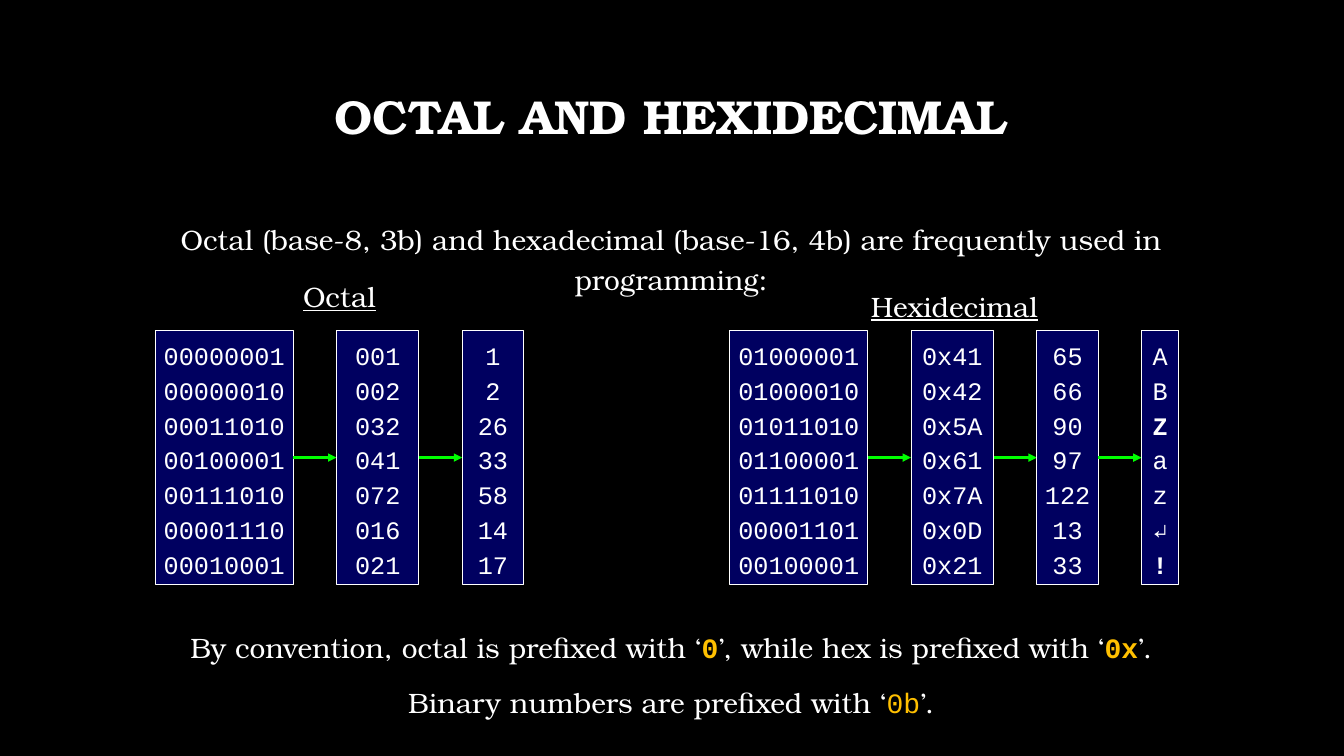
"""Build a slide that compares octal and hexadecimal notation."""
from lxml.etree import SubElement
from pptx import Presentation
from pptx.dml.color import RGBColor
from pptx.enum.shapes import MSO_CONNECTOR, MSO_SHAPE
from pptx.enum.text import MSO_ANCHOR, PP_ALIGN
from pptx.oxml.ns import qn
from pptx.util import Cm, Pt

BLACK = RGBColor(0x00, 0x00, 0x00)
WHITE = RGBColor(0xFF, 0xFF, 0xFF)
NAVY = RGBColor(0x00, 0x00, 0x60)
GREEN = RGBColor(0x00, 0xFF, 0x00)
AMBER = RGBColor(0xFF, 0xC0, 0x00)
SERIF = "TeX Gyre Bonum"
MONO = "Courier New"

MARGIN, CONTENT_WIDTH = Cm(2.54), Cm(28.75)
COLUMN_TOP, COLUMN_HEIGHT = Cm(8.33), Cm(6.4)
COLUMN_GAP = Cm(1.09)
COLUMN_WIDTHS = [Cm(3.48), Cm(2.08), Cm(1.55), Cm(0.94)]
BOLD_CHARACTERS = ("Z", "↵", "!")

OCTAL = [
    ["00000001", "00000010", "00011010", "00100001", "00111010", "00001110", "00010001"],
    ["001", "002", "032", "041", "072", "016", "021"],
    ["1", "2", "26", "33", "58", "14", "17"],
]
HEXADECIMAL = [
    ["01000001", "01000010", "01011010", "01100001", "01111010", "00001101", "00100001"],
    ["0x41", "0x42", "0x5A", "0x61", "0x7A", "0x0D", "0x21"],
    ["65", "66", "90", "97", "122", "13", "33"],
    ["A", "B", "Z", "a", "z", "↵", "!"],
]


def add_span(para, text, size=20, font=SERIF, color=WHITE, bold=False, underline=False):
    """Append one formatted run to a paragraph."""
    span = para.add_run()
    span.text = text
    span.font.name = font
    span.font.size = Pt(size)
    span.font.color.rgb = color
    span.font.bold = bold
    span.font.underline = underline


def add_para(frame, index, line_spacing, space_before=0):
    """Return a centred paragraph, reusing the first one of the frame."""
    para = frame.add_paragraph() if index else frame.paragraphs[0]
    para.alignment = PP_ALIGN.CENTER
    para.line_spacing = line_spacing
    para.space_before = Pt(space_before)
    return para


def add_frame(page, left, top, width, height):
    """Add a wrapping text box and return its text frame."""
    frame = page.shapes.add_textbox(left, top, width, height).text_frame
    frame.word_wrap = True
    return frame


def add_title(page, left, top, width, height):
    """Place the slide title in the middle of its box."""
    frame = add_frame(page, left, top, width, height)
    frame.vertical_anchor = MSO_ANCHOR.MIDDLE
    add_span(add_para(frame, 0, 0.9), "OCTAL AND HEXIDECIMAL", size=34, bold=True)


def add_statement(page, left, top, width, height, text, underline=False):
    """Place a single centred line of body text."""
    frame = add_frame(page, left, top, width, height)
    add_span(add_para(frame, 0, 1.2, 10), text, underline=underline)


def add_column(page, left, top, width, height, values):
    """Place a box that lists one value per line."""
    box = page.shapes.add_shape(MSO_SHAPE.RECTANGLE, left, top, width, height)
    box.shadow.inherit = False
    box.fill.solid()
    box.fill.fore_color.rgb = NAVY
    box.line.color.rgb = WHITE
    box.line.width = Pt(0.75)
    frame = box.text_frame
    frame.word_wrap = False
    frame.vertical_anchor = MSO_ANCHOR.MIDDLE
    frame.margin_left = frame.margin_right = Cm(0.2)
    frame.margin_top = frame.margin_bottom = 0
    for index, value in enumerate(values):
        para = add_para(frame, index, 1.15)
        add_span(para, value, size=18, font=MONO, bold=value in BOLD_CHARACTERS)


def add_arrow(page, left, middle, width):
    """Place a horizontal arrow that points right."""
    arrow = page.shapes.add_connector(
        MSO_CONNECTOR.STRAIGHT, left, middle, left + width, middle)
    arrow.line.color.rgb = GREEN
    arrow.line.width = Pt(2)
    SubElement(arrow.line._get_or_add_ln(), qn("a:tailEnd"), type="triangle")
    SubElement(arrow._element.spPr, qn("a:effectLst"))


def add_conversion(page, left, top, height, heading, heading_top, columns):
    """Place a heading above value columns joined by arrows."""
    widths = COLUMN_WIDTHS[:len(columns)]
    total = sum(widths) + COLUMN_GAP * (len(columns) - 1)
    add_statement(page, left, heading_top, total, Cm(1.32), heading, underline=True)
    column_left = left
    for index, (width, values) in enumerate(zip(widths, columns)):
        if index:
            add_arrow(page, column_left - COLUMN_GAP, top + height // 2, COLUMN_GAP)
        add_column(page, column_left, top, width, height, values)
        column_left += width + COLUMN_GAP


def add_conventions(page, left, top, width, height):
    """Place the closing notes with highlighted prefixes."""
    code = {"font": MONO, "color": AMBER}
    strong = {**code, "bold": True}
    notes = [
        [("By convention, octal is prefixed with ‘", {}), ("0", strong),
         ("’, while hex is prefixed with ‘", {}), ("0x", strong), ("’.", {})],
        [("Binary numbers are prefixed with ‘", {}), ("0b", code), ("’.", {})],
    ]
    frame = add_frame(page, left, top, width, height)
    for index, note in enumerate(notes):
        para = add_para(frame, index, 1.2, 10)
        for text, style in note:
            add_span(para, text, **style)


def main():
    """Create the deck and save it."""
    deck = Presentation()
    deck.slide_width, deck.slide_height = Cm(33.87), Cm(19.05)
    page = deck.slides.add_slide(deck.slide_layouts[6])
    page.background.fill.solid()
    page.background.fill.fore_color.rgb = BLACK
    add_title(page, MARGIN, Cm(1.17), CONTENT_WIDTH, Cm(3.68))
    add_statement(
        page, MARGIN, Cm(5.31), CONTENT_WIDTH, Cm(1.5),
        "Octal (base-8, 3b) and hexadecimal (base-16, 4b) are frequently used in programming:")
    add_conversion(page, Cm(3.91), COLUMN_TOP, COLUMN_HEIGHT, "Octal", Cm(6.76), OCTAL)
    add_conversion(
        page, Cm(18.39), COLUMN_TOP, COLUMN_HEIGHT, "Hexidecimal", Cm(6.99), HEXADECIMAL)
    add_conventions(page, MARGIN, Cm(15.6), CONTENT_WIDTH, Cm(2.62))
    deck.save("out.pptx")


if __name__ == "__main__":
    main()
